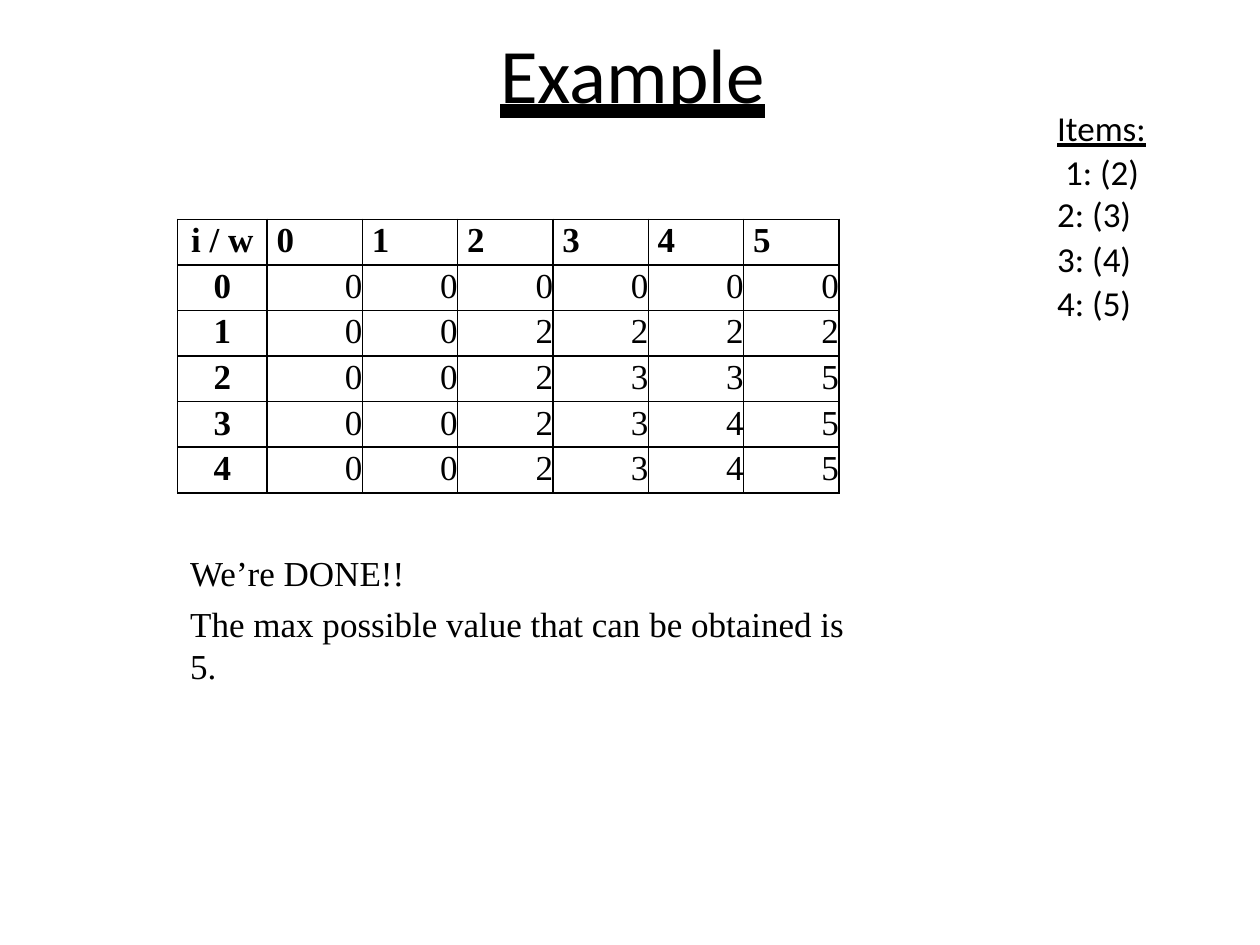
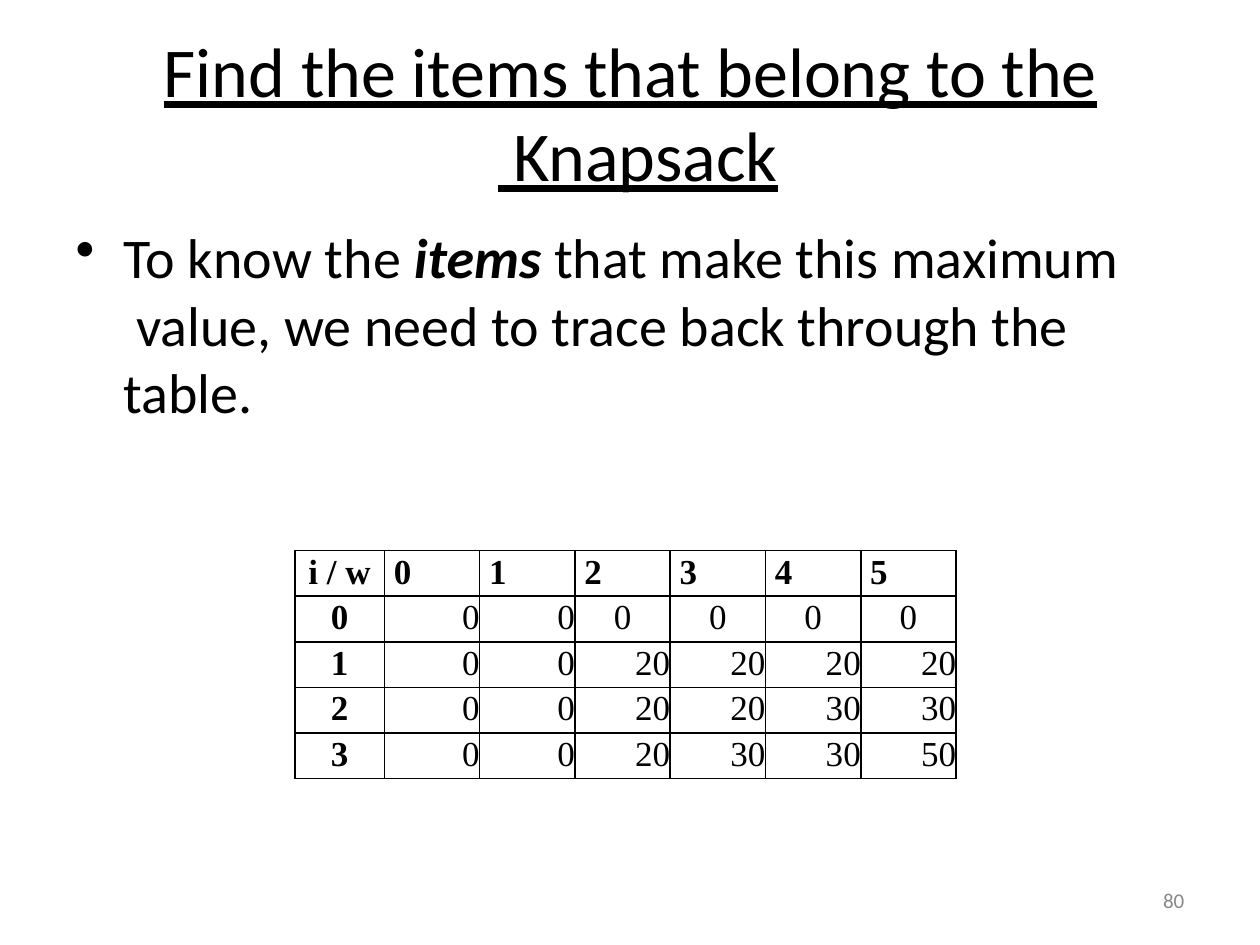
from lxml import etree
from pptx import Presentation
from pptx import util as u
from pptx.dml.color import RGBColor
from pptx.enum import text
from pptx.oxml.ns import qn

COLORS = {"ink": "000000", "muted": "888888"}
SANS, SERIF = "Calibri", "Times New Roman"
COLS, ROWS = 100, 75
LEFT, CENTER, RIGHT = text.PP_ALIGN.LEFT, text.PP_ALIGN.CENTER, text.PP_ALIGN.RIGHT
TABLE_W, INDEX_W, ROW_H = 52.5, 7.1, 3.62

prs = Presentation()
prs.slide_width, prs.slide_height = u.Inches(10), u.Inches(7.5)


def gx(cols):
    return round(prs.slide_width * cols / COLS)


def gy(rows):
    return round(prs.slide_height * rows / ROWS)


def place(box):
    x, y, w, h = box
    return gx(x), gy(y), gx(w), gy(h)


def write(p, runs, size=20, font=SANS, color="ink", align=LEFT, left=0, hang=0,
          before=0, line=None, bullet=None, **style):
    """Fill a paragraph from a string or from (string, font properties) pairs."""
    p.alignment, p.space_before = align, u.Pt(before)
    if line:
        p.line_spacing = u.Pt(line)
    pPr = p._p.get_or_add_pPr()
    pPr.set("marL", str(gx(left)))
    pPr.set("indent", str(-gx(hang)))
    if bullet:
        etree.SubElement(pPr, qn("a:buChar"), char=bullet)
    for part, extra in [(runs, {})] if isinstance(runs, str) else runs:
        for i, piece in enumerate(part.split("\v")):
            if i:
                p.add_line_break()
            if not piece:
                continue
            r = p.add_run()
            r.text = piece
            f = r.font
            f.size, f.name = u.Pt(size), font
            f.color.rgb = RGBColor.from_string(COLORS[color])
            for key, value in {**style, **extra}.items():
                setattr(f, key, value)


def set_frame(tf, top=0.1):
    tf.word_wrap, tf.auto_size = True, text.MSO_AUTO_SIZE.NONE
    tf.vertical_anchor = text.MSO_ANCHOR.TOP
    tf.margin_left = tf.margin_right = tf.margin_bottom = 0
    tf.margin_top = gy(top)


def add_text(slide, box, paragraphs, top=0.1, **fmt):
    """Each paragraph is its runs and the format that is its own."""
    tf = slide.shapes.add_textbox(*place(box)).text_frame
    set_frame(tf, top)
    for i, (runs, own) in enumerate(paragraphs):
        write(tf.add_paragraph() if i else tf.paragraphs[0], runs, **{**fmt, **own})


def titled_slide(title, box, **fmt):
    slide = prs.slides.add_slide(prs.slide_layouts[5])
    sp = slide.shapes.title
    sp.left, sp.top, sp.width, sp.height = place(box)
    set_frame(sp.text_frame)
    write(sp.text_frame.paragraphs[0], title, **fmt)
    return slide


def set_borders(cell):
    tcPr = cell._tc.get_or_add_tcPr()
    for i, side in enumerate(("lnL", "lnR", "lnT", "lnB")):
        ln = etree.Element(qn(f"a:{side}"), w=str(u.Pt(1)))
        fill = etree.SubElement(ln, qn("a:solidFill"))
        etree.SubElement(fill, qn("a:srgbClr"), val=COLORS["ink"])
        tcPr.insert(i, ln)


def add_knapsack_table(slide, x, y, values, centered=()):
    """Number rows by item and columns by weight; centre the cells listed."""
    n_rows, n_cols = len(values) + 1, len(values[0]) + 1
    table = slide.shapes.add_table(
        n_rows, n_cols, *place((x, y, TABLE_W, n_rows * ROW_H))).table
    table.first_row = table.horz_banding = False
    for i, col in enumerate(table.columns):
        col.width = gx((TABLE_W - INDEX_W) / (n_cols - 1) if i else INDEX_W)
    grid = [["i / w", *range(n_cols - 1)]]
    grid += [[item, *row] for item, row in enumerate(values)]
    for r, row in enumerate(grid):
        table.rows[r].height = gy(ROW_H)
        for c, value in enumerate(row):
            cell = table.cell(r, c)
            cell.margin_left = cell.margin_right = 0
            cell.margin_top = cell.margin_bottom = 0
            cell.fill.background()
            set_borders(cell)
            header = r == 0 and c > 0
            align = CENTER if c == 0 or (r, c) in centered else LEFT if header else RIGHT
            write(cell.text_frame.paragraphs[0], str(value), font=SERIF, line=23.4,
                  align=align, left=0.75 if header else 0, bold=r == 0 or c == 0)


def example_slide():
    slide = titled_slide("Example", (39.2, 2, 22, 7.6), size=44, left=0.5,
                         underline=text.MSO_UNDERLINE.HEAVY_LINE)
    add_text(slide, (15.1, 43, 54, 8.3), [
        ("We’re DONE!!", {}),
        ("The max possible value that can be obtained is 5.", {"before": 4.8}),
    ], top=0.8, font=SERIF)
    add_knapsack_table(slide, 14.1, 17.4, [
        [0, 0, 0, 0, 0, 0],
        [0, 0, 2, 2, 2, 2],
        [0, 0, 2, 3, 3, 5],
        [0, 0, 2, 3, 4, 5],
        [0, 0, 2, 3, 4, 5],
    ])
    add_text(slide, (83.9, 8.2, 7.5, 17.6), [
        ([("Items:", {"underline": True}), ("\v 1: (2)", {})], {"line": 25.2}),
        ("2: (3)", {"before": 0.1}),
        ("3: (4)", {"before": 1.2}),
        ("4: (5)", {"before": 1.2}),
    ])


def trace_back_slide():
    slide = titled_slide("Find the items that belong to the\v Knapsack",
                         (12.8, 2.1, 75, 13.6), size=40, left=26.7, hang=26.5,
                         underline=True)
    add_text(slide, (91.9, 70.7, 2.5, 1.9), [("80", {})], top=0, size=12,
             color="muted", left=0.4, line=12.4)
    add_text(slide, (5.9, 17.6, 83, 16.3), [([
        ("To know the ", {}),
        ("items ", {"bold": True, "italic": True}),
        ("that make this maximum\v value, we need to trace back through the table.", {}),
    ], {})], size=32, left=3.9, hang=3.8, bullet="•")
    add_knapsack_table(slide, 23.4, 43.7, [
        [0, 0, 0, 0, 0, 0],
        [0, 0, 20, 20, 20, 20],
        [0, 0, 20, 20, 30, 30],
        [0, 0, 20, 30, 30, 50],
    ], centered=[(1, c) for c in range(3, 7)])


if __name__ == "__main__":
    example_slide()
    trace_back_slide()
    prs.save("out.pptx")
